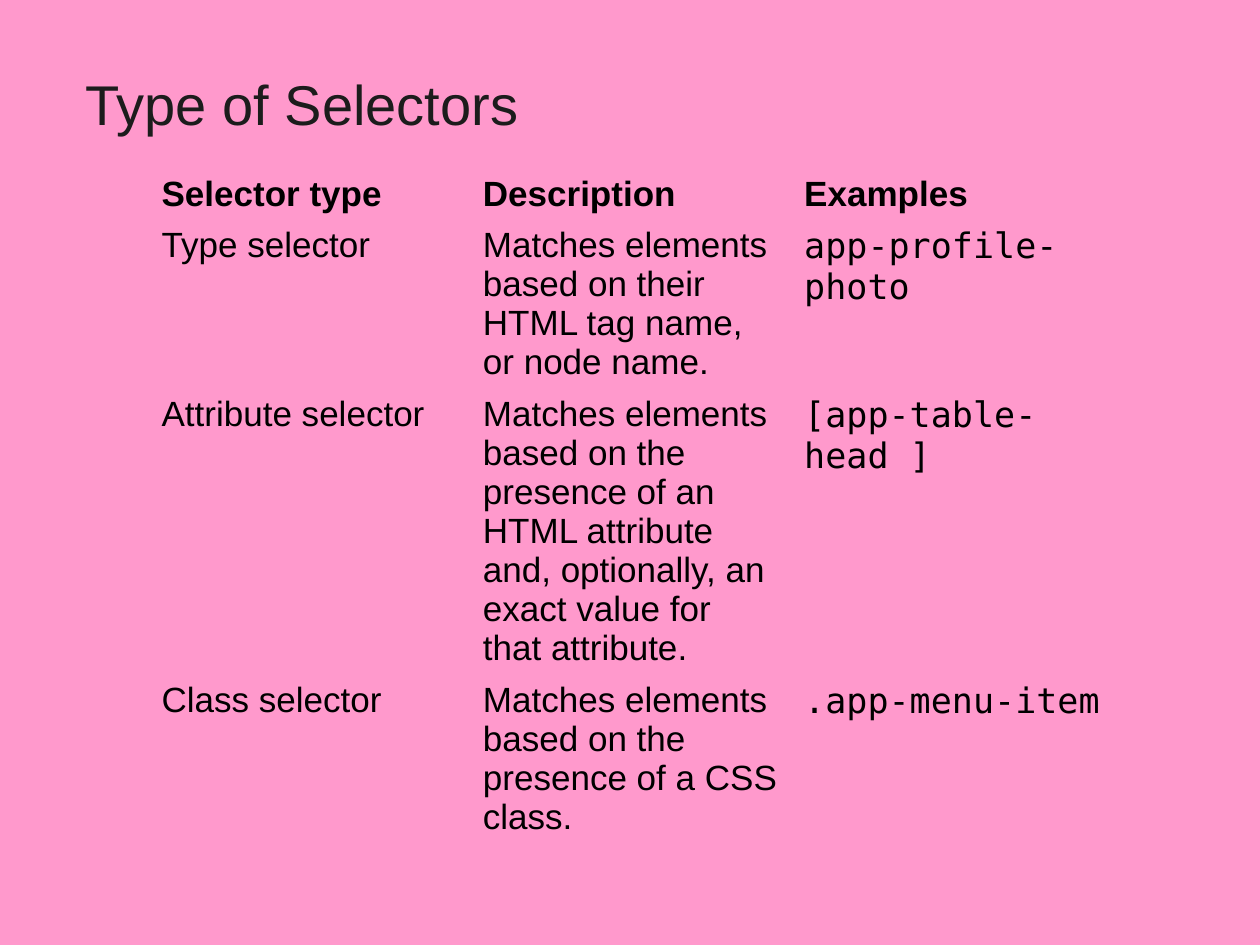
from dataclasses import dataclass

from lxml import etree
from pptx import Presentation, util as u
from pptx.dml.color import RGBColor
from pptx.enum import text
from pptx.oxml.ns import qn

SCALE = 914400 / 126


@dataclass(frozen=True)
class Theme:
    background: RGBColor = RGBColor(0xFF, 0x99, 0xCC)
    heading: RGBColor = RGBColor(0x1C, 0x1C, 0x1C)
    ink: RGBColor = RGBColor(0, 0, 0)
    heading_size: int = 32
    table_size: int = 20
    body_font: str = "Arial"
    code_font: str = "DejaVu Sans Mono"


THEME = Theme()
LINE_HEIGHT = 39
ROW_PADDING = 12

HEADINGS = ("Selector type", "Description", "Examples")
SELECTORS = (
    (4, "Type selector",
     "Matches elements based on their HTML tag name, or node name.",
     "app-profile-photo"),
    (7, "Attribute selector",
     "Matches elements based on the presence of an HTML attribute and, "
     "optionally, an exact value for that attribute.",
     "[app-table-head ]"),
    (4, "Class selector",
     "Matches elements based on the presence of a CSS class.",
     ".app-menu-item"),
)


def px(length):
    return u.Emu(round(length * SCALE))


def write(frame, words, font, size, color, bold=False):
    frame.text = words
    for run in frame.paragraphs[0].runs:
        run.font.name = font
        run.font.size = u.Pt(size)
        run.font.color.rgb = color
        run.font.bold = bold


def clear_cell(cell):
    properties = cell._tc.get_or_add_tcPr()
    for side in ("a:lnL", "a:lnR", "a:lnT", "a:lnB"):
        border = etree.SubElement(properties, qn(side))
        etree.SubElement(border, qn("a:noFill"))
    cell.fill.background()


def place_heading(slide, left, top, width, height):
    heading = slide.shapes.title
    heading.left, heading.top = px(left), px(top)
    heading.width, heading.height = px(width), px(height)
    heading.text_frame.vertical_anchor = text.MSO_ANCHOR.MIDDLE
    write(heading.text_frame, "Type of Selectors", THEME.body_font,
          THEME.heading_size, THEME.heading)
    heading.text_frame.paragraphs[0].alignment = text.PP_ALIGN.LEFT


def place_selectors(slide, left, top, width):
    rows = ((1, *HEADINGS), *SELECTORS)
    heights = [lines * LINE_HEIGHT + ROW_PADDING for lines, *_ in rows]
    selectors = slide.shapes.add_table(
        len(rows), len(HEADINGS), px(left), px(top), px(width), px(sum(heights))
    ).table
    selectors.first_row = False
    selectors.horz_banding = False
    for column in selectors.columns:
        column.width = px(width / len(HEADINGS))
    for r, (_, *entries) in enumerate(rows):
        selectors.rows[r].height = px(heights[r])
        is_heading = r == 0
        for c, words in enumerate(entries):
            cell = selectors.cell(r, c)
            clear_cell(cell)
            cell.vertical_anchor = (
                text.MSO_ANCHOR.MIDDLE if is_heading else text.MSO_ANCHOR.TOP
            )
            is_example = c == len(HEADINGS) - 1 and not is_heading
            font = THEME.code_font if is_example else THEME.body_font
            write(cell.text_frame, words, font, THEME.table_size,
                  THEME.ink, is_heading)


def main():
    deck = Presentation()
    deck.slide_width, deck.slide_height = px(1260), px(945)
    slide = deck.slides.add_slide(deck.slide_layouts[5])
    slide.background.fill.solid()
    slide.background.fill.fore_color.rgb = THEME.background
    place_heading(slide, 73, 53, 1134, 101)
    place_selectors(slide, 149, 168, 964)
    deck.save("out.pptx")


if __name__ == "__main__":
    main()
